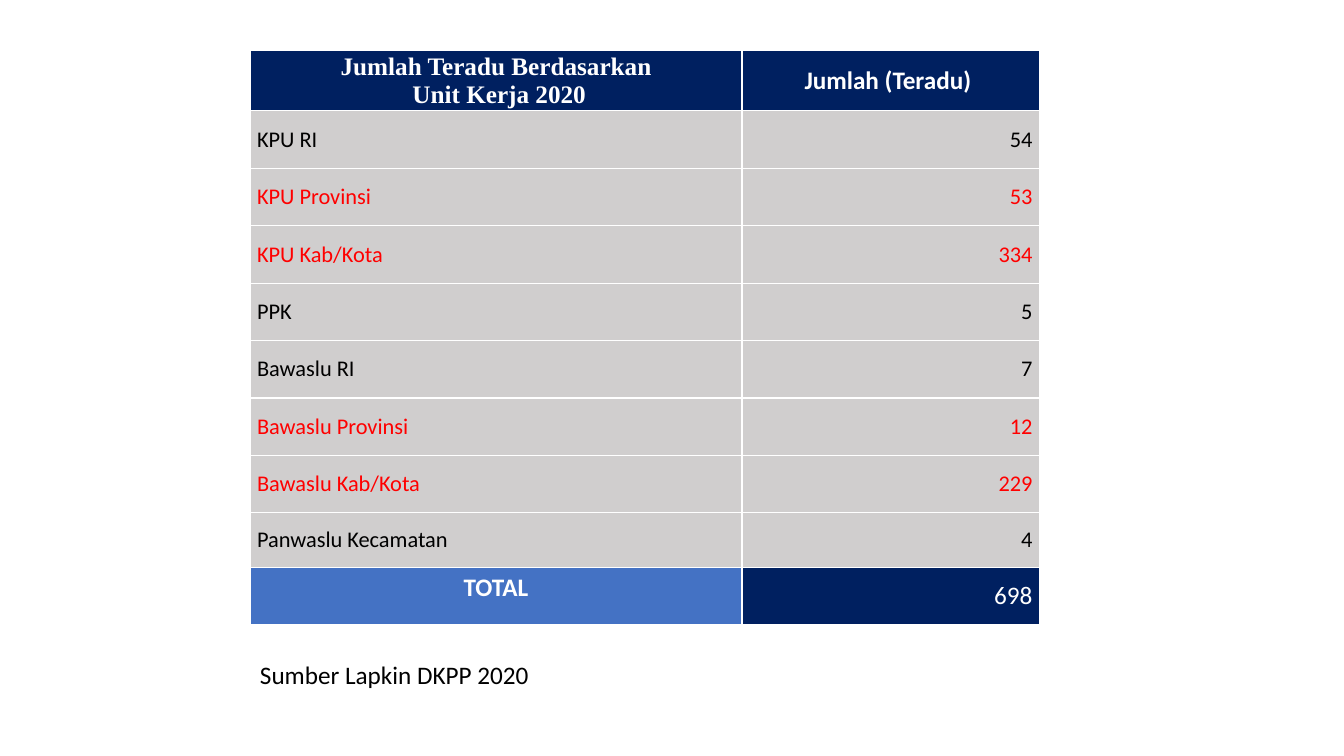
from dataclasses import dataclass

from pptx import Presentation
from pptx import util as u
from pptx.dml.color import RGBColor
from pptx.enum import text

HEAD = ("Jumlah Teradu Berdasarkan\n Unit Kerja 2020", "Jumlah (Teradu) ")
# unit, count, marked in red
UNITS = [
    ("KPU RI", 54, False),
    ("KPU Provinsi", 53, True),
    ("KPU Kab/Kota", 334, True),
    ("PPK", 5, False),
    ("Bawaslu RI", 7, False),
    ("Bawaslu Provinsi", 12, True),
    ("Bawaslu Kab/Kota", 229, True),
    ("Panwaslu Kecamatan", 4, False),
]
TOTAL = ("TOTAL", sum(count for _, count, _ in UNITS))
SOURCE = "Sumber Lapkin DKPP 2020"

COLS = (4.88, 2.95)
ROWS = [0.6] + [0.57] * 7 + [0.54, 0.57]
LEFT, TOP = 2.48, 0.5


@dataclass(frozen=True)
class Theme:
    navy: str = "002060"
    blue: str = "4472C4"
    gray: str = "D0CECE"
    white: str = "FFFFFF"
    black: str = "000000"
    red: str = "FF0000"
    sans: str = "Calibri"
    serif: str = "Times New Roman"
    large: int = 18
    small: int = 16


T = Theme()
ALIGN = text.PP_ALIGN


def write(frame, words, color, size=T.large, font=T.sans, bold=False,
          align=ALIGN.LEFT):
    frame.text = str(words)
    for para in frame.paragraphs:
        para.alignment = align
        for run in para.runs:
            run.font.name = font
            run.font.size = u.Pt(size)
            run.font.bold = bold
            run.font.color.rgb = RGBColor.from_string(color)


def paint(cell, words, fill, color, tight=True, **style):
    """Fill one cell; tight cells are centred vertically with thin margins."""
    cell.fill.solid()
    cell.fill.fore_color.rgb = RGBColor.from_string(fill)
    if tight:
        cell.vertical_anchor = text.MSO_ANCHOR.MIDDLE
        cell.margin_left = cell.margin_right = u.Inches(0.07)
        cell.margin_top = cell.margin_bottom = 0
    write(cell.text_frame, words, color, **style)


def add_grid(slide):
    grid = slide.shapes.add_table(
        len(ROWS), len(COLS), u.Inches(LEFT), u.Inches(TOP),
        u.Inches(sum(COLS)), u.Inches(sum(ROWS))).table
    grid.horz_banding = False
    for col, width in zip(grid.columns, COLS):
        col.width = u.Inches(width)
    for row, height in zip(grid.rows, ROWS):
        row.height = u.Inches(height)

    for col, (words, font) in enumerate(zip(HEAD, (T.serif, T.sans))):
        paint(grid.cell(0, col), words, T.navy, T.white, font=font,
              bold=True, align=ALIGN.CENTER)
    for row, (unit, count, marked) in enumerate(UNITS, 1):
        color = T.red if marked else T.black
        for col, (words, align) in enumerate(
                ((unit, ALIGN.LEFT), (count, ALIGN.RIGHT))):
            paint(grid.cell(row, col), words, T.gray, color, size=T.small,
                  align=align)
    last = len(ROWS) - 1
    paint(grid.cell(last, 0), TOTAL[0], T.blue, T.white, tight=False,
          bold=True, align=ALIGN.CENTER)
    paint(grid.cell(last, 1), TOTAL[1], T.navy, T.white, align=ALIGN.RIGHT)


def add_source(slide):
    box = slide.shapes.add_textbox(
        u.Inches(LEFT), u.Inches(6.49), u.Inches(5.29), u.Inches(0.4))
    box.text_frame.word_wrap = True
    write(box.text_frame, SOURCE, T.black)


def main():
    deck = Presentation()
    deck.slide_width, deck.slide_height = u.Inches(13.33), u.Inches(7.5)
    slide = deck.slides.add_slide(deck.slide_layouts[6])
    add_grid(slide)
    add_source(slide)
    deck.save("out.pptx")


if __name__ == "__main__":
    main()
